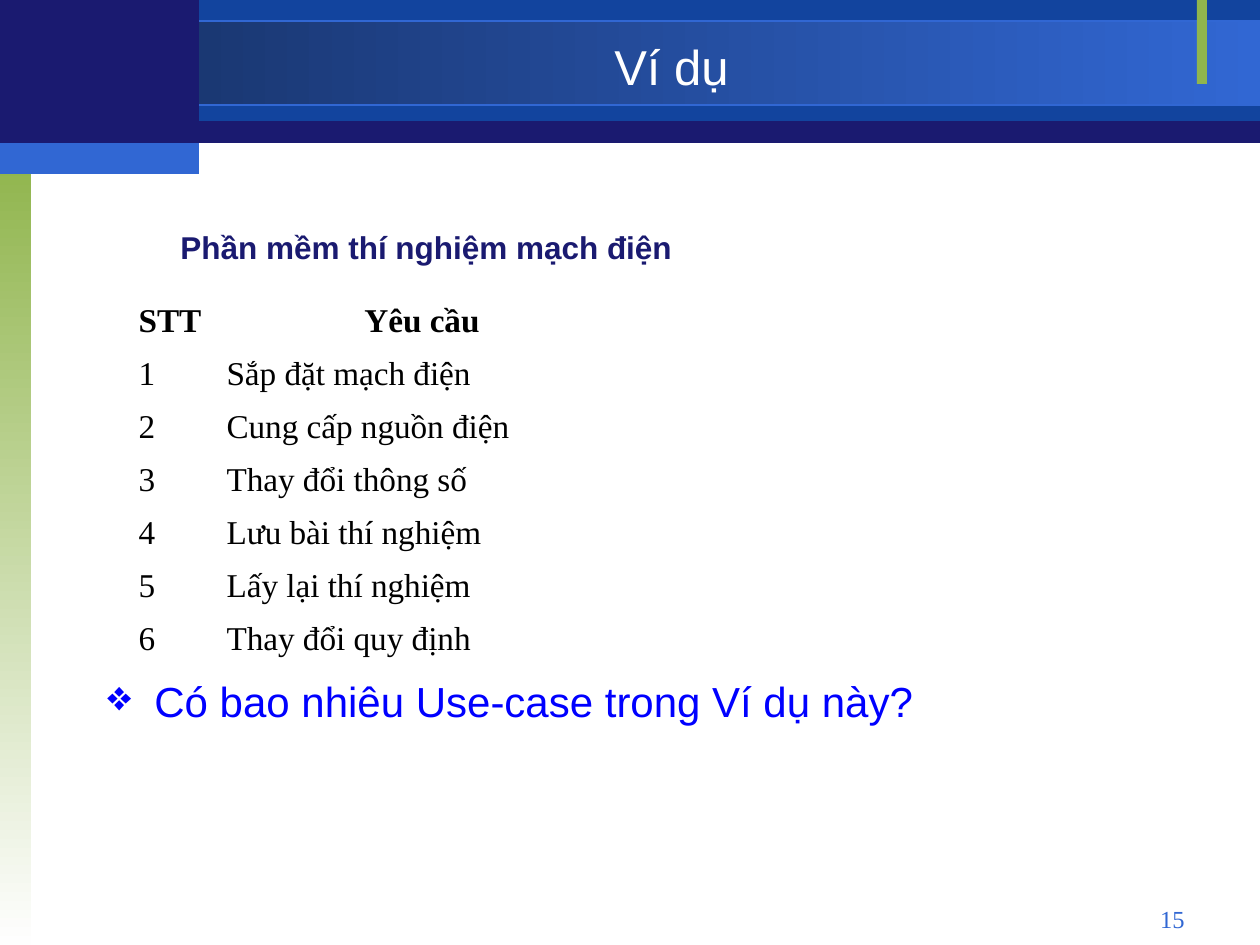
from lxml import etree
from pptx import Presentation
from pptx.dml.color import RGBColor
from pptx.enum.shapes import MSO_SHAPE
from pptx.enum.text import MSO_ANCHOR, PP_ALIGN
from pptx.oxml.ns import qn
from pptx.util import Pt

RECT = MSO_SHAPE.RECTANGLE
TOP, MIDDLE = MSO_ANCHOR.TOP, MSO_ANCHOR.MIDDLE
LEFT, CENTER, RIGHT = PP_ALIGN.LEFT, PP_ALIGN.CENTER, PP_ALIGN.RIGHT
JUSTIFY = PP_ALIGN.JUSTIFY

NAVY = RGBColor(0x1A, 0x1A, 0x70)
ROYAL = RGBColor(0x12, 0x44, 0x9E)
SKY = RGBColor(0x31, 0x67, 0xD3)
DUSK = RGBColor(0x16, 0x2F, 0x61)
GREEN = RGBColor(0x90, 0xB5, 0x4D)
PALE = RGBColor(0xFE, 0xFE, 0xFE)
WHITE = RGBColor(0xFF, 0xFF, 0xFF)
BLACK = RGBColor(0, 0, 0)
BLUE = RGBColor(0, 0, 0xFF)
SANS, SERIF = "Arial", "Times New Roman"

ROWS = [
    ("STT", "Yêu cầu"),
    ("1", "Sắp đặt mạch điện"),
    ("2", "Cung cấp nguồn điện"),
    ("3", "Thay đổi thông số"),
    ("4", "Lưu bài thí nghiệm"),
    ("5", "Lấy lại thí nghiệm"),
    ("6", "Thay đổi quy định"),
]


def px(n):
    return round(n * 914400 / 126)


def add_bar(slide, box, color, end=None, angle=0, line=None):
    """Rectangle in one colour, or fading from color to end."""
    bar = slide.shapes.add_shape(RECT, *map(px, box))
    bar.shadow.inherit = False
    if end is None:
        bar.fill.solid()
        bar.fill.fore_color.rgb = color
    else:
        bar.fill.gradient()
        bar.fill.gradient_angle = angle
        for stop, tone in zip(bar.fill.gradient_stops, (color, end)):
            stop.color.rgb = tone
    if line is None:
        bar.line.fill.background()
    else:
        bar.line.color.rgb = line
        bar.line.width = Pt(0.75)


def write(frame, text, size, font, color, align=LEFT, bold=False):
    para = frame.paragraphs[0]
    para.alignment = align
    run = para.add_run()
    run.text = text
    run.font.size = Pt(size)
    run.font.name = font
    run.font.bold = bold
    run.font.color.rgb = color
    return para


def add_label(slide, box, anchor=TOP, wrap=True):
    frame = slide.shapes.add_textbox(*map(px, box)).text_frame
    frame.word_wrap = wrap
    frame.vertical_anchor = anchor
    return frame


def add_bullet(para, mark, color, indent):
    props = para._p.get_or_add_pPr()
    props.set("marL", str(px(indent)))
    props.set("indent", str(-px(indent)))
    tint = etree.SubElement(props, qn("a:buClr"))
    etree.SubElement(tint, qn("a:srgbClr"), val=str(color))
    etree.SubElement(props, qn("a:buChar"), char=mark)


def add_grid(slide, left, top, widths, height):
    table = slide.shapes.add_table(
        len(ROWS), len(widths), px(left), px(top),
        px(sum(widths)), px(height * len(ROWS))).table
    table.first_row = table.horz_banding = False
    for col, width in zip(table.columns, widths):
        col.width = px(width)
    for r, texts in enumerate(ROWS):
        table.rows[r].height = px(height)
        head = r == 0
        for c, text in enumerate(texts):
            cell = table.cell(r, c)
            cell.fill.background()
            write(cell.text_frame, text, 19, SERIF, BLACK,
                  CENTER if head else LEFT, head)


def set_title(slide, box, text):
    title = slide.shapes.title
    title.left, title.top, title.width, title.height = map(px, box)
    title.text_frame.vertical_anchor = MIDDLE
    write(title.text_frame, text, 28, SANS, WHITE, CENTER)
    # Bring the title in front of the header bars
    slide.shapes._spTree.append(title._element)


def main():
    deck = Presentation()
    deck.slide_width, deck.slide_height = px(1260), px(945)
    slide = deck.slides.add_slide(deck.slide_layouts[5])

    # Header and side bars
    add_bar(slide, (0, 1, 1260, 142), NAVY)
    add_bar(slide, (199, 0, 1061, 121), ROYAL)
    add_bar(slide, (0, 21, 1260, 84), DUSK, SKY, line=SKY)
    add_bar(slide, (0, 158, 31, 787), GREEN, PALE, angle=270)
    add_bar(slide, (1197, 0, 10, 84), GREEN)
    add_bar(slide, (0, 0, 199, 147), NAVY)
    add_bar(slide, (0, 143, 199, 31), SKY)

    # Title, table and its heading
    set_title(slide, (199, 29, 945, 73), "Ví dụ")
    add_grid(slide, 126, 297, (88, 416), 53)
    head = add_label(slide, (168, 221, 525, 51), MIDDLE, wrap=False)
    write(head, "Phần mềm thí nghiệm mạch điện", 18, SANS, NAVY, bold=True)

    # Question
    ask = add_label(slide, (95, 669, 1050, 181))
    para = write(ask, "Có bao nhiêu Use-case trong Ví dụ này?", 24, SANS, BLUE,
                 JUSTIFY)
    add_bullet(para, "❖", BLUE, 47)

    # Page number
    page = add_label(slide, (903, 898, 294, 34))
    write(page, "15", 14, SERIF, SKY, RIGHT)

    deck.save("out.pptx")


if __name__ == "__main__":
    main()
